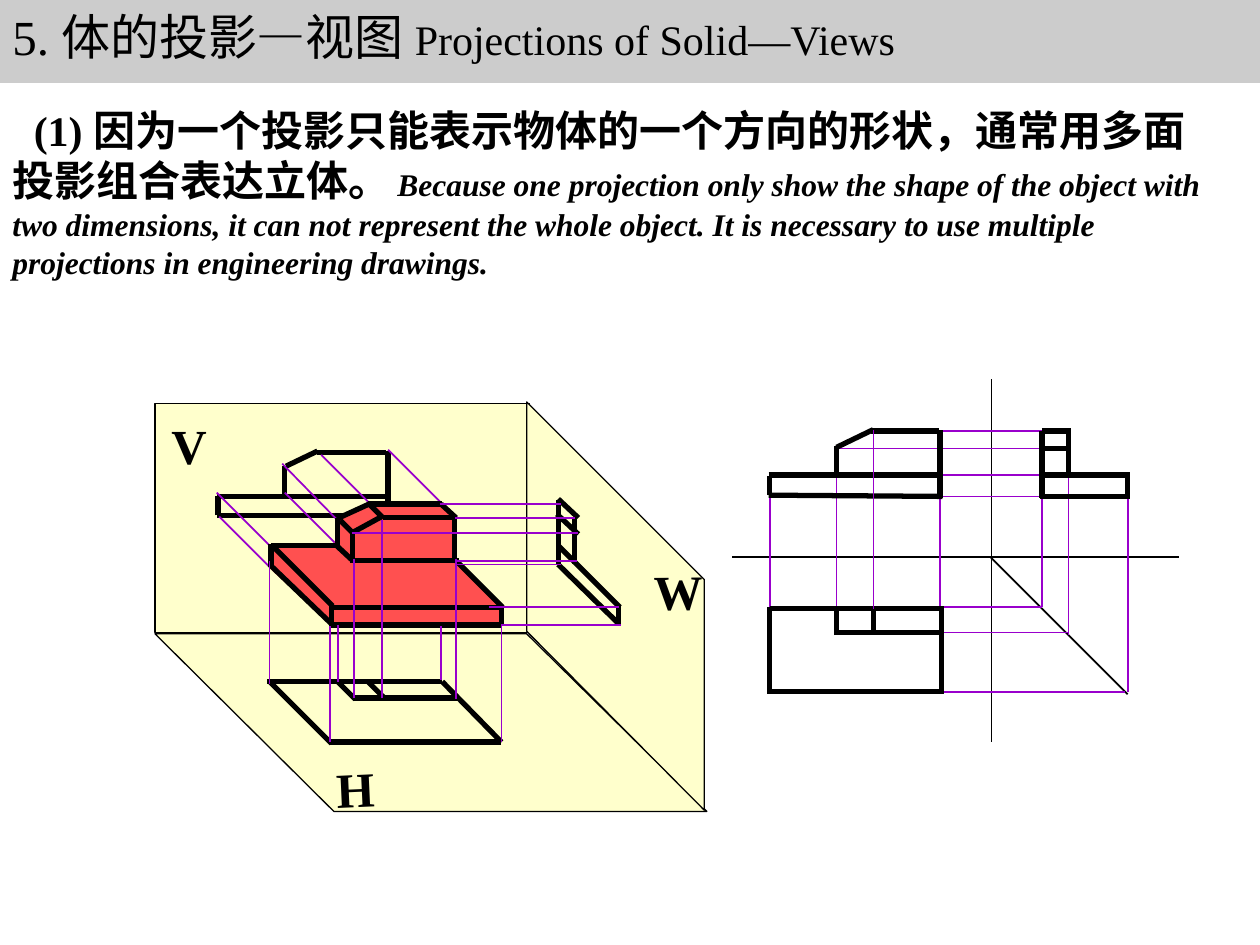
import pptx
import pptx.dml.color
import pptx.enum.shapes
import pptx.enum.text
import pptx.oxml
import pptx.util
from pptx.util import Inches

RGBColor = pptx.dml.color.RGBColor
BLACK = RGBColor(0x00, 0x00, 0x00)
PURPLE = RGBColor(0x99, 0x00, 0xCC)
RED = RGBColor(0xFF, 0x50, 0x50)
YELLOW = RGBColor(0xFF, 0xFF, 0xCC)
GREY = RGBColor(0xCC, 0xCC, 0xCC)

FONT = "Times New Roman"
EDGE, RAY = 3, 1  # line widths in points
MIDDLE = pptx.enum.text.MSO_ANCHOR.MIDDLE
TOP = pptx.enum.text.MSO_ANCHOR.TOP
LEFT = pptx.enum.text.PP_ALIGN.LEFT
CENTER = pptx.enum.text.PP_ALIGN.CENTER

deck = pptx.Presentation()
deck.slide_width, deck.slide_height = Inches(10), Inches(7.5)
page = deck.slides.add_slide(deck.slide_layouts[6])
shapes = page.shapes


def draw_lines(color, width, segments):
    """Draw each (x1, y1, x2, y2) segment, in inches, as a straight line."""
    for segment in segments:
        line = shapes.add_connector(
            pptx.enum.shapes.MSO_CONNECTOR.STRAIGHT, *map(Inches, segment))
        line.line.color.rgb = color
        line.line.width = pptx.util.Pt(width)
        line._element.spPr.append(pptx.oxml.parse_xml(
            '<a:effectLst xmlns:a="http://schemas.openxmlformats.org/drawingml/2006/main"/>'))


def write_text(box, runs, anchor, align, wrap):
    """Fill a box with one paragraph made of (text, font values) runs."""
    frame = box.text_frame
    frame.word_wrap = wrap
    frame.auto_size = pptx.enum.text.MSO_AUTO_SIZE.SHAPE_TO_FIT_TEXT
    frame.vertical_anchor = anchor
    para = frame.paragraphs[0]
    para.alignment = align
    for text, values in runs:
        span = para.add_run()
        span.text = text
        span.font.color.rgb = BLACK
        for name, value in ({"name": FONT} | values).items():
            setattr(span.font, name, value)
    return para


# Projection planes H, V, W and the red solid
planes = [
    [(1.23, 5.03), (4.18, 5.03), (5.61, 6.44), (2.65, 6.44)],
    [(1.23, 3.2), (4.2, 3.2), (4.2, 5.02), (1.23, 5.02)],
    [(4.18, 5.01), (5.59, 6.43), (5.59, 4.6), (4.18, 3.19)],
]
solid = [(2.15, 4.33), (2.66, 4.33), (2.69, 4.13), (2.91, 4.01), (3.48, 4.01),
         (3.61, 4.11), (3.61, 4.45), (3.99, 4.84), (3.98, 4.96), (2.64, 4.96),
         (2.15, 4.51)]
outlines = [(points, YELLOW, BLACK, 0.75) for points in planes]
outlines.append((solid, RED, RED, 1))

# Front view on plane V lies behind the solid
front_edges = [
    (3.09, 4.09, 1.72, 4.09), (1.73, 4.09, 1.73, 3.94), (3.08, 4.11, 3.08, 3.58),
    (3.06, 3.59, 2.52, 3.59), (2.26, 3.94, 2.26, 3.7), (2.27, 3.7, 2.52, 3.58),
    (1.72, 3.94, 3.08, 3.94),
]
front_rays = [
    (2.13, 4.49, 1.74, 4.1), (2.14, 4.33, 1.72, 3.91), (2.94, 4, 2.55, 3.61),
    (3.53, 4.02, 3.08, 3.57), (2.68, 4.33, 2.26, 3.91), (2.68, 4.13, 2.24, 3.68),
]
for points, fill, outline, width in outlines:
    if points is solid:
        draw_lines(BLACK, EDGE, front_edges)
        draw_lines(PURPLE, RAY, front_rays)
    start, *others = [(Inches(x), Inches(y)) for x, y in points]
    builder = shapes.build_freeform(*start)
    builder.add_line_segments(others, close=True)
    polygon = builder.convert_to_shape()
    polygon.shadow.inherit = False
    polygon.fill.solid()
    polygon.fill.fore_color.rgb = fill
    polygon.line.color.rgb = outline
    polygon.line.width = pptx.util.Pt(width)

solid_edges = [
    (3.04, 4.11, 2.93, 4), (2.63, 4.81, 2.63, 4.96), (2.15, 4.5, 2.15, 4.32),
    (2.81, 4.45, 3.64, 4.45), (3.61, 4.46, 3.61, 4.11), (3.03, 4.1, 2.81, 4.22),
    (2.93, 4, 2.69, 4.11), (2.92, 4, 3.51, 4), (3.04, 4.11, 3.63, 4.11),
    (2.8, 4.2, 2.8, 4.47), (2.68, 4.11, 2.68, 4.33), (2.14, 4.48, 2.64, 4.96),
    (2.62, 4.82, 3.98, 4.82), (3.98, 4.82, 3.98, 4.97), (2.61, 4.96, 3.98, 4.96),
    (2.16, 4.33, 2.64, 4.81), (3.99, 4.82, 3.61, 4.44), (2.8, 4.45, 2.66, 4.32),
    (2.15, 4.33, 2.68, 4.33), (3.62, 4.11, 3.5, 4), (2.8, 4.23, 2.7, 4.13),
]
top_edges = [
    (2.62, 5.89, 3.98, 5.89), (2.12, 5.41, 3.51, 5.41), (2.14, 5.41, 2.63, 5.9),
    (3.51, 5.41, 3.98, 5.89), (2.68, 5.41, 2.82, 5.55), (2.81, 5.54, 3.64, 5.54),
    (2.92, 5.41, 3.05, 5.54),
]
top_rays = [(x, start, x, end) for x, start, end in [
    (2.14, 4.45, 5.43), (2.62, 4.97, 5.89), (3.98, 4.96, 5.89), (3.5, 4.97, 5.4),
    (2.68, 4.96, 5.41), (2.81, 4.44, 5.54), (3.03, 4.13, 5.54), (3.62, 4.44, 5.55)]]
side_edges = [
    (4.43, 4.48, 4.91, 4.95), (4.43, 4.33, 4.92, 4.82), (4.43, 3.97, 4.43, 4.48),
    (4.56, 4.1, 4.56, 4.48), (4.91, 4.81, 4.91, 4.96), (4.43, 3.96, 4.59, 4.11),
    (4.59, 4.24, 4.42, 4.08),
]
side_rays = [(start, y, end, y) for y, start, end in [
    (4.96, 3.98, 4.93), (4.48, 3.63, 4.45), (4.82, 3.88, 4.91), (4.23, 2.79, 4.59),
    (4, 3.49, 4.45), (4.11, 3.61, 4.56), (4.45, 3.62, 4.58)]]

# Unfolded three-view drawing on the right
axes = [(5.81, 4.42, 9.36, 4.42), (7.87, 3.01, 7.87, 5.89), (7.86, 4.42, 8.95, 5.51)]
view_rays = [(x, start, x, end) for x, start, end in [
    (6.11, 3.93, 4.83), (7.46, 3.9, 4.83), (6.64, 3.74, 4.81),
    (8.27, 4.82, 3.94), (8.95, 5.49, 3.92), (8.48, 5.04, 3.4)]]
view_rays += [(start, y, end, y) for y, start, end in [
    (3.42, 7.47, 8.45), (3.56, 6.65, 8.45), (3.77, 7.48, 8.26), (3.94, 7.48, 8.25),
    (4.82, 7.45, 8.27), (5.49, 7.47, 8.93), (5.02, 7.43, 8.48)]]
top_view = [
    (6.64, 5.02, 7.47, 5.02), (6.11, 5.49, 7.48, 5.49), (6.11, 4.83, 7.49, 4.83),
    (6.11, 4.82, 6.11, 5.51), (7.47, 4.82, 7.47, 5.51), (6.64, 5.04, 6.64, 4.83),
    (6.93, 4.82, 6.93, 5.03),
]
front_view = [
    (7.46, 3.78, 7.46, 3.41), (7.45, 3.42, 6.91, 3.42), (6.64, 3.78, 6.64, 3.54),
    (6.64, 3.55, 6.93, 3.41), (7.48, 3.94, 6.1, 3.93), (6.11, 3.93, 6.11, 3.78),
    (6.1, 3.77, 7.47, 3.77), (7.46, 3.76, 7.46, 3.95),
]
side_view = [
    (8.27, 3.8, 8.27, 3.42), (8.27, 3.42, 8.5, 3.42), (8.27, 3.56, 8.5, 3.56),
    (8.48, 3.42, 8.48, 3.77), (8.95, 3.95, 8.95, 3.77), (8.27, 3.77, 8.97, 3.77),
    (8.25, 3.94, 8.97, 3.94), (8.27, 3.77, 8.27, 3.95),
]
for color, width, segments in [
    (BLACK, EDGE, solid_edges),
    (BLACK, EDGE, top_edges), (PURPLE, RAY, top_rays),
    (BLACK, EDGE, side_edges), (PURPLE, RAY, side_rays),
    (BLACK, 1, axes), (PURPLE, RAY, view_rays),
    (BLACK, EDGE, top_view), (BLACK, EDGE, front_view), (BLACK, EDGE, side_view),
    (PURPLE, 0.75, [(6.93, 3.41, 6.93, 4.83)]),
]:
    draw_lines(color, width, segments)

# Plane letters
for letter, left, top, width, rotation, wrap in [
    ("V", 1.26, 3.25, 0.48, 0, False),
    ("W", 5.09, 4.4, 0.48, 359.5, True),
    ("H", 2.57, 5.97, 0.5, 357.4, False),
]:
    label = shapes.add_textbox(*map(Inches, (left, top, width, 0.57)))
    label.rotation = rotation
    write_text(label, [(letter, {"size": pptx.util.Pt(28), "bold": True})],
               MIDDLE, CENTER, wrap)

# Explanation and title bar
body = shapes.add_textbox(Inches(0), Inches(0.78), Inches(9.8), Inches(1.5))
body_para = write_text(body, [
    ("(1) 因为一个投影只能表示物体的一个方向的形状，通常用多面投影组合表达立体。",
     {"size": pptx.util.Pt(24), "bold": True}),
    (" Because one projection only show the shape of the object with two dimensions, "
     "it can not represent the whole object. It is necessary to use multiple "
     "projections in engineering drawings.",
     {"size": pptx.util.Pt(18), "bold": True, "italic": True}),
], MIDDLE, LEFT, True)
body_para._p.get_or_add_pPr().set("indent", str(Inches(0.17)))

title = shapes.add_shape(pptx.enum.shapes.MSO_SHAPE.RECTANGLE,
                         Inches(0), Inches(0), Inches(10), Inches(0.63))
title.shadow.inherit = False
title.fill.solid()
title.fill.fore_color.rgb = GREY
title.line.color.rgb = GREY
title.line.width = pptx.util.Pt(4.5)
write_text(title, [("5. 体的投影—视图 ", {"size": pptx.util.Pt(28)}),
                   ("Projections of Solid—Views", {"size": pptx.util.Pt(24)})],
           TOP, LEFT, True)

deck.save("out.pptx")
